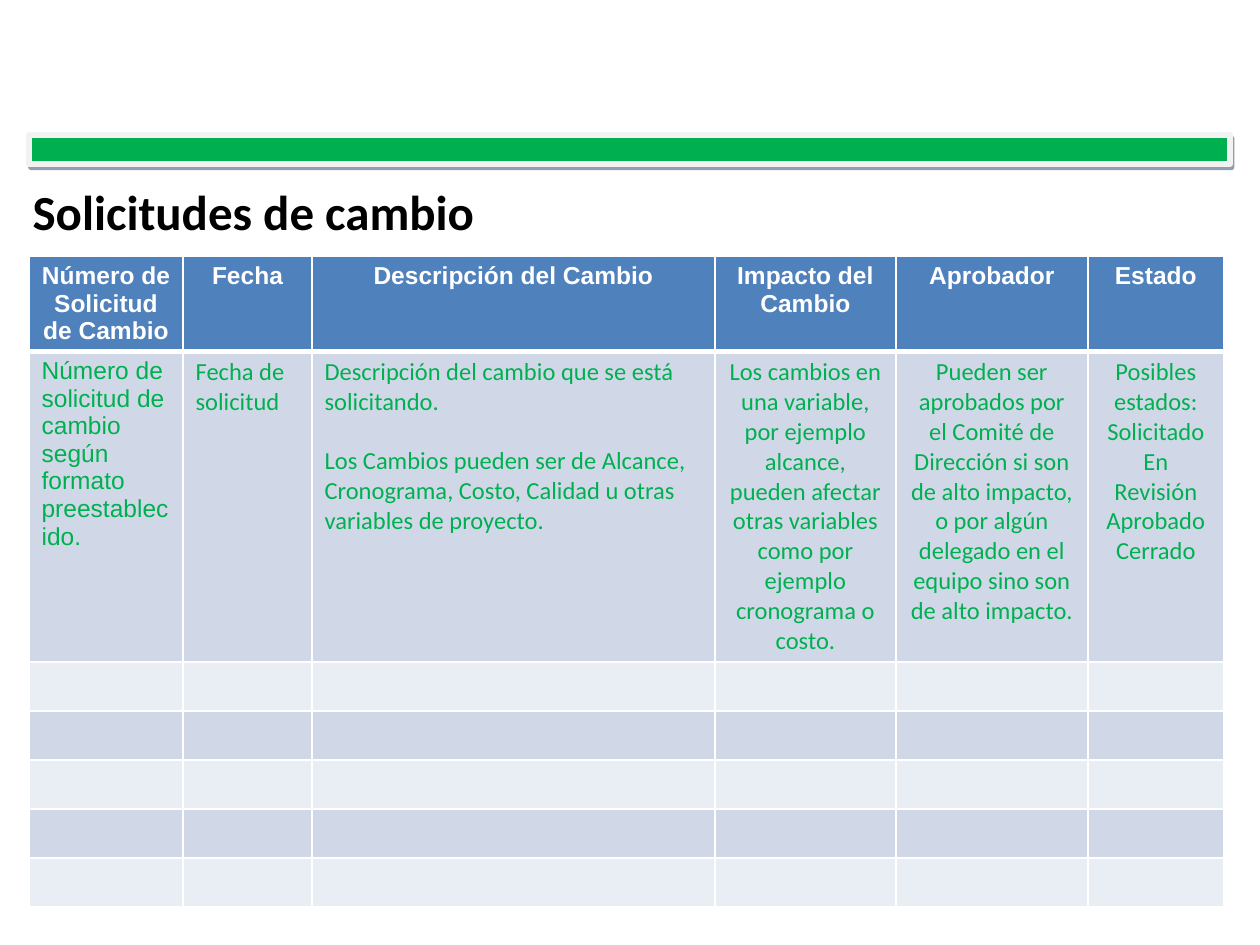
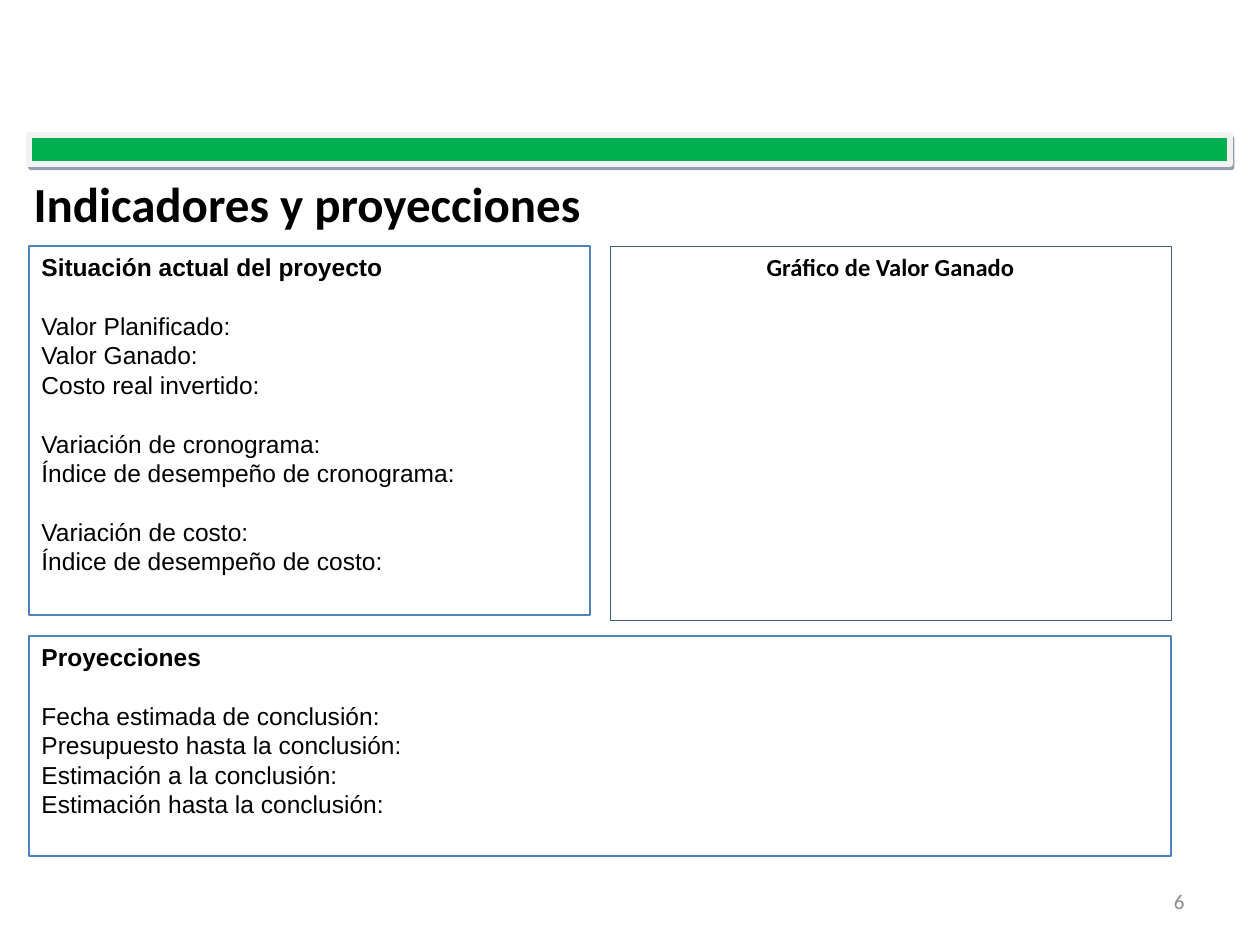
from lxml.etree import SubElement
from pptx import Presentation
from pptx.dml.color import RGBColor
from pptx.enum.shapes import MSO_SHAPE
from pptx.enum.text import MSO_ANCHOR, MSO_AUTO_SIZE, PP_ALIGN
from pptx.oxml.ns import qn
from pptx.util import Emu, Pt

EMU_PER_PX = 914400 / 126
COLORS = {
    "band": "00B050",
    "band_edge": "F2F2F2",
    "band_shadow": "243F60",
    "ink": "000000",
    "white": "FFFFFF",
    "header": "4F81BD",
    "row_dark": "D0D8E8",
    "row_light": "E9EDF4",
    "guide": "00B050",
    "panel_edge": "4F81BD",
    "graph_edge": "3A5F8C",
    "page_number": "8C8C8C",
}
LINE_PITCH = Pt(16.8)
GAP = "gap"

COLUMN_WIDTHS = [154, 129, 403, 181, 192, 136]
ROW_HEIGHTS = [94, 311] + [49] * 5
HEADERS = ["Número de Solicitud de Cambio", "Fecha", "Descripción del Cambio",
           "Impacto del Cambio", "Aprobador", "Estado"]
GUIDANCE = [
    ["Número de solicitud de cambio según formato preestablecido."],
    ["Fecha de solicitud"],
    ["Descripción del cambio que se está solicitando.", GAP,
     "Los Cambios pueden ser de Alcance, Cronograma, Costo, Calidad u otras "
     "variables de proyecto."],
    ["Los cambios en una variable, por ejemplo alcance, pueden afectar otras "
     "variables como por ejemplo cronograma o costo."],
    ["Pueden ser aprobados por el Comité de Dirección si son de alto impacto, "
     "o por algún delegado en el equipo sino son de alto impacto."],
    ["Posibles estados:", "Solicitado", "En Revisión", "Aprobado", "Cerrado"],
]
SITUATION = ["Situación actual del proyecto", GAP,
             "Valor Planificado:", "Valor Ganado:", "Costo real invertido:", GAP,
             "Variación de cronograma:", "Índice de desempeño de cronograma:", GAP,
             "Variación de costo:", "Índice de desempeño de costo:"]
PROJECTIONS = ["Proyecciones", GAP,
               "Fecha estimada de conclusión:", "Presupuesto hasta la conclusión:",
               "Estimación a la conclusión:", "Estimación hasta la conclusión:"]


def px(length):
    return Emu(round(length * EMU_PER_PX))


def rgb(name):
    return RGBColor.from_string(COLORS[name])


def style(paragraph, size, color, face="Calibri", bold=False, align=PP_ALIGN.LEFT):
    paragraph.alignment = align
    font = paragraph.font
    font.size, font.name, font.bold = Pt(size), face, bold
    font.color.rgb = rgb(color)


def write_lines(frame, lines, color="ink", face="Arial", align=PP_ALIGN.LEFT,
                heading=False, pitch=None):
    paragraph = None
    after_gap = False
    for line in lines:
        if line == GAP:
            after_gap = True
            continue
        is_first = paragraph is None
        paragraph = frame.paragraphs[0] if is_first else frame.add_paragraph()
        paragraph.text = line
        style(paragraph, 14, color, face, heading and is_first, align)
        if pitch:
            paragraph.line_spacing = pitch
        if after_gap:
            paragraph.space_before = LINE_PITCH
        after_gap = False


def add_box(slide, bounds, edge, weight, fill=None):
    box = slide.shapes.add_shape(MSO_SHAPE.RECTANGLE, *map(px, bounds))
    box.shadow.inherit = False
    if fill:
        box.fill.solid()
        box.fill.fore_color.rgb = rgb(fill)
    else:
        box.fill.background()
    box.line.color.rgb = rgb(edge)
    box.line.width = Pt(weight)
    return box


def add_layout_band(slide):
    band = add_box(slide, (29, 135, 1201, 29), "band_edge", 3, "band")
    effects = band.element.spPr.find(qn("a:effectLst"))
    shadow = SubElement(effects, qn("a:outerShdw"), blurRad="0",
                        dist=str(Pt(2.2)), dir=str(63 * 60000), rotWithShape="0")
    tint = SubElement(shadow, qn("a:srgbClr"), val=COLORS["band_shadow"])
    SubElement(tint, qn("a:alpha"), val="50000")
    band.element.nvSpPr.cNvPr.set("id", "20")
    slide.slide_layout.shapes.element.append(band.element)


def add_titled_slide(prs, title_text, left, top):
    slide = prs.slides.add_slide(prs.slide_layouts[5])
    title = slide.shapes.title
    title.left, title.top, title.width, title.height = map(px, (left, top, 1071, 49))
    frame = title.text_frame
    frame.text = title_text
    frame.auto_size = MSO_AUTO_SIZE.NONE
    frame.vertical_anchor = MSO_ANCHOR.MIDDLE
    style(frame.paragraphs[0], 28, "ink", bold=True)
    return slide


def add_panel(slide, bounds, lines, edge="panel_edge", weight=0.75, **text_format):
    frame = add_box(slide, bounds, edge, weight).text_frame
    frame.word_wrap = True
    frame.vertical_anchor = MSO_ANCHOR.TOP
    write_lines(frame, lines, heading=True, **text_format)


def add_page_number(slide, number):
    frame = slide.shapes.add_textbox(*map(px, (903, 876, 294, 50))).text_frame
    frame.word_wrap = True
    frame.vertical_anchor = MSO_ANCHOR.MIDDLE
    frame.text = number
    style(frame.paragraphs[0], 12, "page_number", align=PP_ALIGN.RIGHT)


def format_cell(cell, fill, bottom_weight):
    properties = cell._tc.get_or_add_tcPr()
    for side in ("lnL", "lnR", "lnT", "lnB"):
        weight = bottom_weight if side == "lnB" else 1
        border = SubElement(properties, qn(f"a:{side}"), w=str(Pt(weight)))
        paint = SubElement(border, qn("a:solidFill"))
        SubElement(paint, qn("a:srgbClr"), val=COLORS["white"])
    cell.fill.solid()
    cell.fill.fore_color.rgb = rgb(fill)


def add_change_table(slide):
    bounds = (29, 256, sum(COLUMN_WIDTHS), sum(ROW_HEIGHTS))
    table = slide.shapes.add_table(len(ROW_HEIGHTS), len(COLUMN_WIDTHS),
                                   *map(px, bounds)).table
    for column, width in zip(table.columns, COLUMN_WIDTHS):
        column.width = px(width)
    for row_index, height in enumerate(ROW_HEIGHTS):
        table.rows[row_index].height = px(height)
        band_fill = "row_dark" if row_index % 2 else "row_light"
        for column_index, header in enumerate(HEADERS):
            cell = table.cell(row_index, column_index)
            format_cell(cell, band_fill if row_index else "header",
                        1 if row_index else 3)
            if row_index == 0:
                write_lines(cell.text_frame, [header], "white",
                            align=PP_ALIGN.CENTER, heading=True)
            elif row_index == 1:
                write_lines(cell.text_frame, GUIDANCE[column_index], "guide",
                            "Calibri" if column_index else "Arial",
                            PP_ALIGN.CENTER if column_index > 2 else PP_ALIGN.LEFT)
            else:
                style(cell.text_frame.paragraphs[0], 14, "ink")


def main():
    prs = Presentation()
    prs.slide_width, prs.slide_height = px(1260), px(945)

    changes = add_titled_slide(prs, "Solicitudes de cambio", 20, 186)
    add_layout_band(changes)
    add_change_table(changes)

    indicators = add_titled_slide(prs, "Indicadores y proyecciones", 21, 178)
    add_page_number(indicators, "6")
    add_panel(indicators, (29, 246, 561, 369), SITUATION, pitch=LINE_PITCH)
    add_panel(indicators, (29, 636, 1142, 220), PROJECTIONS, pitch=LINE_PITCH)
    add_panel(indicators, (610, 246, 561, 374), ["Gráfico de Valor Ganado"],
              "graph_edge", 0.25, face="Calibri", align=PP_ALIGN.CENTER)

    prs.save("out.pptx")


if __name__ == "__main__":
    main()
